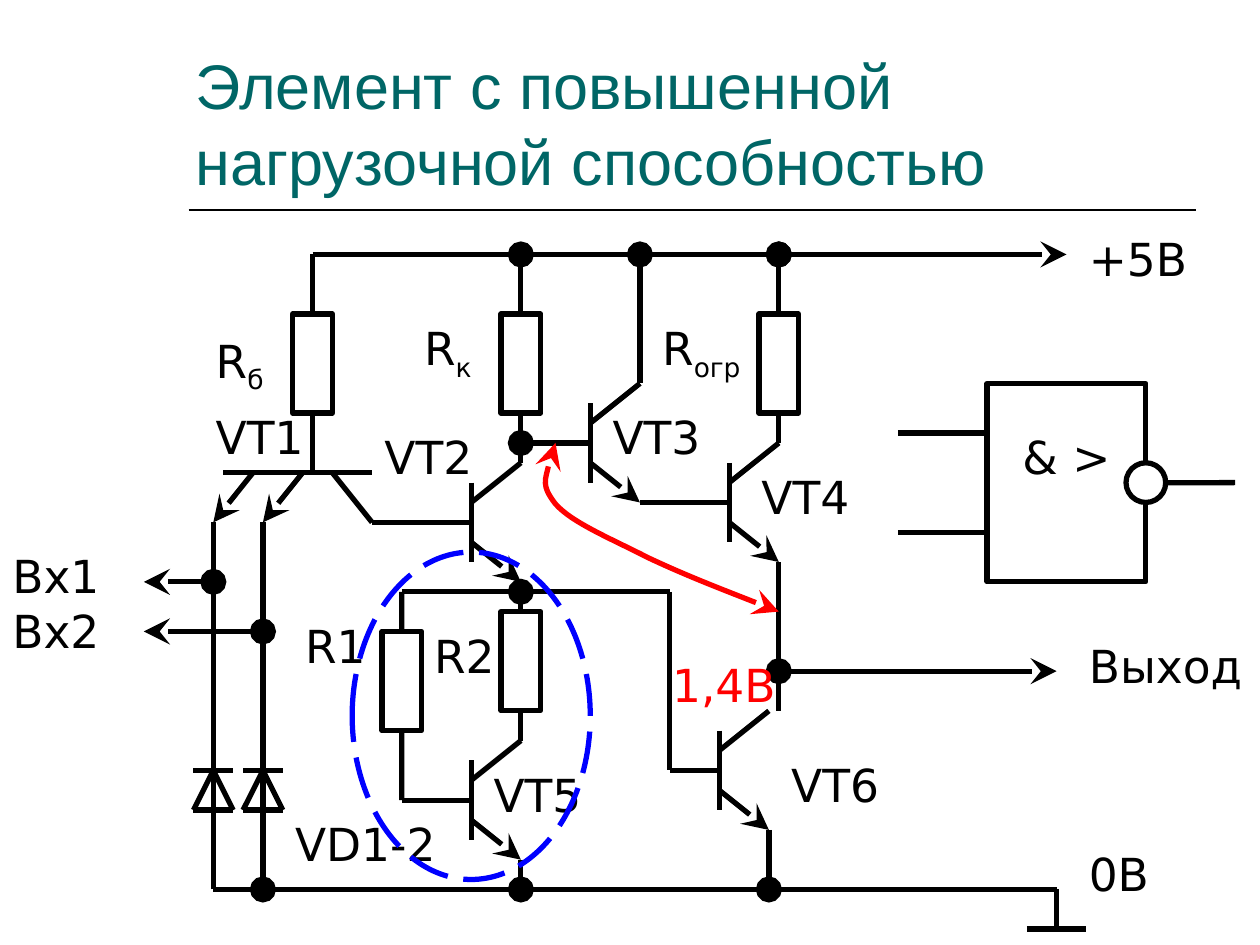
from lxml import etree
from pptx import Presentation
from pptx.dml.color import RGBColor
from pptx.enum.dml import MSO_LINE_DASH_STYLE as Dash
from pptx.enum.shapes import MSO_CONNECTOR as Connector, MSO_SHAPE as Shape
from pptx.enum.text import MSO_ANCHOR as Anchor, PP_ALIGN as Align
from pptx.oxml.ns import qn
from pptx.util import Cm, Pt

TOP, LEFT, BOTTOM, RIGHT = 0, 1, 2, 3
SHIFT = 0.03  # the 1 mm drawing grid starts slightly below the slide's top


def color(value):
    return RGBColor.from_string(value)


class Circuit:
    ink, red, blue, teal = "000000", "FF0000", "0000FF", "006666"
    font, size, weight = "DejaVu Sans", 26, 3

    def __init__(self, slide):
        self.shapes = slide.shapes

    def stroke(self, shape, value=None, weight=None, head=None, tail=None):
        shape.line.color.rgb = color(value or self.ink)
        shape.line.width = Pt(weight or self.weight)
        outline = shape.line._get_or_add_ln()
        for tag, kind in (("a:headEnd", head), ("a:tailEnd", tail)):
            if kind:
                etree.SubElement(outline, qn(tag), type=kind, w="lg", len="lg")

    def wire(self, x1, y1, x2, y2, head=None, tail=None, weight=None):
        line = self.shapes.add_connector(
            Connector.STRAIGHT, Cm(x1), Cm(y1 + SHIFT), Cm(x2), Cm(y2 + SHIFT))
        self.stroke(line, None, weight, head, tail)
        etree.SubElement(line._element.spPr, qn("a:effectLst"))
        return line

    def lead(self, shape, site, x, y, tail=None):
        """Wire from the middle of a rectangle's side to a point."""
        self.wire(x, y, x, y, tail=tail).begin_connect(shape, site)

    def outline(self, kind, x, y, width, height, value=None, fill="FFFFFF"):
        shape = self.shapes.add_shape(
            kind, Cm(x), Cm(y + SHIFT), Cm(width), Cm(height))
        shape.shadow.inherit = False
        if fill:
            shape.fill.solid()
            shape.fill.fore_color.rgb = color(fill)
        else:
            shape.fill.background()
        self.stroke(shape, value)
        return shape

    def resistor(self, x, y):
        return self.outline(Shape.RECTANGLE, x - 0.4, y, 0.8, 2)

    def transistor(self, x, y):
        self.wire(x, y - 0.8, x, y + 0.8)
        self.wire(x, y - 0.4, x + 1, y - 1.2)
        self.wire(x, y + 0.4, x + 1, y + 1.2, tail="stealth")

    def diode(self, x, y):
        for level in (y, y + 0.8):
            self.wire(x - 0.4, level, x + 0.4, level)
        for side in (-0.4, 0.4):
            self.wire(x, y, x + side, y + 0.8)

    def curve(self, points, value):
        """Bezier line: a start, then three points for each segment."""
        (x, y), *rest = [(Cm(a), Cm(b + SHIFT)) for a, b in points]
        builder = self.shapes.build_freeform(x, y)
        builder.add_line_segments(rest, close=False)
        shape = builder.convert_to_shape()
        steps = list(shape._element.iter(qn("a:lnTo")))
        for start in range(0, len(steps), 3):
            bezier = etree.Element(qn("a:cubicBezTo"))
            steps[start].addprevious(bezier)
            for step in steps[start:start + 3]:
                bezier.append(step[0])
                step.getparent().remove(step)
        shape.shadow.inherit = False
        shape.fill.background()
        self.stroke(shape, value, head="stealth", tail="stealth")

    def run(self, paragraph, text, value=None, size=None, font=None, sub=False):
        run = paragraph.add_run()
        run.text = text
        run.font.name = font or self.font
        run.font.size = Pt(size or self.size)
        run.font.color.rgb = color(value or self.ink)
        if sub:
            run.font._element.set("baseline", "-25000")

    def textbox(self, x, y, width, height):
        box = self.shapes.add_textbox(
            Cm(x), Cm(y + SHIFT), Cm(width), Cm(height))
        box.text_frame.word_wrap = True
        return box.text_frame

    def label(self, x, y, text, sub=None, width=2.6, value=None):
        frame = self.textbox(x, y, width, 1.5 if sub else 1.38)
        paragraph = frame.paragraphs[0]
        for index, line in enumerate(text.split("\n")):
            if index:
                paragraph.add_line_break()
            self.run(paragraph, line, value)
        if sub:
            self.run(paragraph, sub, value, sub=True)

    def title(self, text):
        frame = self.textbox(3.7, 0.1, 20.32, 3.99)
        frame.vertical_anchor = Anchor.BOTTOM
        self.run(frame.paragraphs[0], text, self.teal, 36, "Arial")


def main():
    presentation = Presentation()
    presentation.slide_width, presentation.slide_height = Cm(25.4), Cm(19.05)
    circuit = Circuit(presentation.slides.add_slide(presentation.slide_layouts[6]))

    # Heading
    circuit.wire(3.8, 4.2, 24.1, 4.2, weight=1)
    circuit.title("Элемент с повышенной нагрузочной способностью")

    # Supply rail, ground rail and ground mark
    circuit.wire(6.3, 5.1, 15.7, 5.1, tail="oval")
    circuit.wire(15.7, 5.1, 21.5, 5.1, tail="stealth")
    for start, end in ((4.3, 14.7), (5.3, 15.7), (15.5, 21.3)):
        circuit.wire(start, 17.9, end, 17.9)
    circuit.wire(21.3, 17.9, 21.3, 18.7)
    circuit.wire(20.7, 18.7, 21.9, 18.7)

    # Resistors: x, top, end of upper lead, its mark, end of lower lead
    for x, y, upper, mark, lower in (
            (6.3, 6.3, 5.1, None, 9.5), (10.5, 6.3, 5.1, "oval", 9.3),
            (15.7, 6.3, 5.1, "oval", 8.9), (8.1, 12.7, 11.9, None, 16.1),
            (10.5, 12.3, 11.7, None, 14.9)):
        resistor = circuit.resistor(x, y)
        circuit.lead(resistor, TOP, x, upper, mark)
        circuit.lead(resistor, BOTTOM, x, lower)

    # Input transistor VT1, inputs and diodes
    circuit.wire(4.5, 9.5, 7.5, 9.5)
    circuit.wire(6.7, 9.5, 7.5, 10.5)
    for x, node, mark in ((4.3, 11.7, None), (5.3, 12.7, "oval")):
        circuit.wire(x + 0.8, 9.5, x, 10.5, tail="stealth")
        circuit.wire(x, 10.5, x, node)
        circuit.wire(x, 17.9, x, node, head=mark, tail="oval")
        circuit.wire(x, node, 2.9, node, tail="stealth")
        circuit.diode(x, 15.5)

    # Transistors VT2 to VT6
    for x, y in ((9.5, 10.5), (11.9, 8.9), (14.7, 10.1), (9.5, 16.1), (14.5, 15.5)):
        circuit.transistor(x, y)

    # Wires between the stages
    for wire in ((7.5, 10.5, 9.5, 10.5), (12.9, 10.1, 14.7, 10.1),
                 (10.5, 11.9, 13.5, 11.9), (13.5, 11.9, 13.5, 15.5),
                 (13.5, 15.5, 14.5, 15.5), (8.1, 16.1, 9.5, 16.1),
                 (15.7, 11.3, 15.7, 14.3)):
        circuit.wire(*wire)
    for wire in ((11.9, 8.9, 10.5, 8.9), (12.9, 7.7, 12.9, 5.1),
                 (8.1, 11.9, 10.5, 11.9), (10.5, 17.3, 10.5, 17.9),
                 (15.5, 16.7, 15.5, 17.9)):
        circuit.wire(*wire, tail="oval")
    circuit.wire(15.7, 13.5, 21.3, 13.5, head="oval", tail="stealth")

    # Labels
    for x, y, text in (
            (21.7, 4.5, "+5В"), (0, 10.9, "Вх1\nВх2"), (21.7, 16.9, "0В"),
            (4.1, 8.1, "VT1"), (7.5, 8.5, "VT2"), (12.1, 8.1, "VT3"),
            (15.1, 9.3, "VT4"), (9.7, 15.3, "VT5"), (15.7, 15.1, "VT6")):
        circuit.label(x, y, text)
    for x, y, text, sub, width in (
            (4.1, 6.55, "R", "б", 1.8), (8.3, 6.3, "R", "к", 1.8),
            (13.1, 6.3, "R", "огр", 2.2), (5.9, 12.3, "R1", None, 1.8),
            (8.5, 12.5, "R2", None, 1.8), (5.7, 16.3, "VD1-2", None, 4.6),
            (21.7, 12.7, "Выход", None, 3.7)):
        circuit.label(x, y, text, sub, width)

    # Voltage between the marked points
    circuit.curve([(11.2, 8.9), (11.05, 9.32), (10.9, 9.75), (11.2, 10.13),
                   (11.53, 10.51), (12.34, 10.84), (13.08, 11.22),
                   (13.85, 11.58), (14.76, 11.93), (15.7, 12.3)], circuit.red)
    circuit.label(13.3, 13.1, "1,4В", width=3.2, value=circuit.red)

    # Highlighted correcting network
    network = circuit.outline(Shape.OVAL, 7.1, 11.1, 4.8, 6.6, circuit.blue, None)
    network.line.dash_style = Dash.LONG_DASH

    # Gate symbol
    gate = circuit.outline(Shape.RECTANGLE, 19.9, 7.7, 3.2, 4)
    frame = gate.text_frame
    frame.word_wrap = False
    frame.vertical_anchor = Anchor.MIDDLE
    frame.margin_bottom = Cm(1.2)
    frame.paragraphs[0].alignment = Align.CENTER
    circuit.run(frame.paragraphs[0], "& >")
    circuit.lead(gate, RIGHT, 24.9, 9.7)
    circuit.outline(Shape.OVAL, 22.7, 9.3, 0.8, 0.8)
    for y in (8.7, 10.7):
        circuit.wire(18.1, y, 19.9, y)

    presentation.save("out.pptx")


if __name__ == "__main__":
    main()
